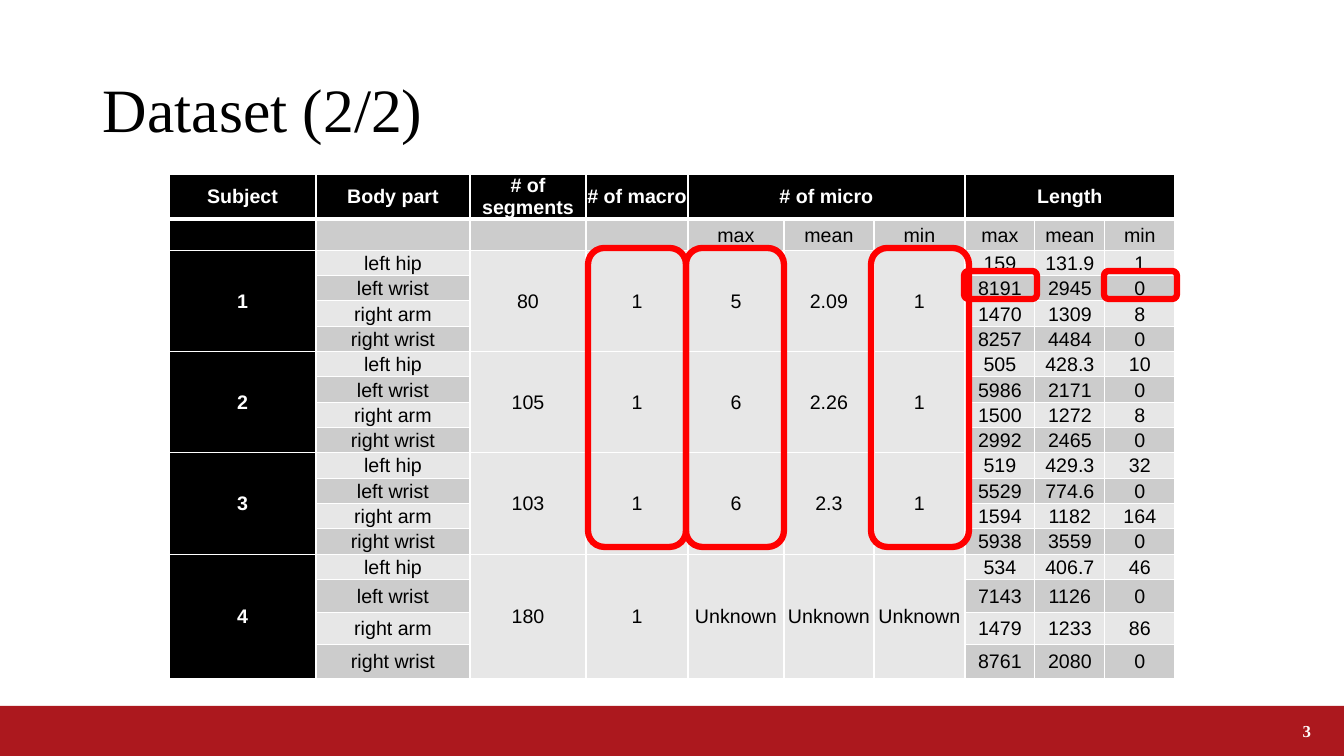
"""Build the dataset slide: a table of segments per subject with highlighted columns."""
import lxml.etree
import pptx
import pptx.dml.color
import pptx.enum.shapes
import pptx.enum.text
import pptx.oxml.ns
import pptx.util

PX = 914400 / 100.8
COLORS = {"black": "000000", "white": "FFFFFF", "dark": "CCCCCC", "light": "E7E7E7",
          "band": "AC181E", "mark": "FF0000"}
ALIGN = pptx.enum.text.PP_ALIGN
MIDDLE = pptx.enum.text.MSO_ANCHOR.MIDDLE
SHAPE = pptx.enum.shapes.MSO_SHAPE


def px(*values):
    return [pptx.util.Emu(round(v * PX)) for v in values]


def write(tf, text, align, color, **font):
    p = tf.paragraphs[0]
    p.alignment = align
    r = p.add_run()
    r.text = text
    for name, value in font.items():
        setattr(r.font, name, value)
    r.font.color.rgb = pptx.dml.color.RGBColor.from_string(COLORS[color])
    return p


prs = pptx.Presentation()
prs.slide_width, prs.slide_height = px(1344, 756)
s = prs.slides.add_slide(prs.slide_layouts[6])

band = s.shapes.add_shape(SHAPE.RECTANGLE, *px(0, 706, 1344, 50))
band.shadow.inherit = False
band.fill.solid()
band.fill.fore_color.rgb = pptx.dml.color.RGBColor.from_string(COLORS["band"])
band.line.fill.background()

BODY_PARTS = ["left hip", "left wrist", "right arm", "right wrist"]
SUBJECTS = [
    (["1", "80", "1", "5", "2.09", "1"],
     ["159 131.9 1", "8191 2945 0", "1470 1309 8", "8257 4484 0"]),
    (["2", "105", "1", "6", "2.26", "1"],
     ["505 428.3 10", "5986 2171 0", "1500 1272 8", "2992 2465 0"]),
    (["3", "103", "1", "6", "2.3", "1"],
     ["519 429.3 32", "5529 774.6 0", "1594 1182 164", "5938 3559 0"]),
    (["4", "180", "1", "Unknown", "Unknown", "Unknown"],
     ["534 406.7 46", "7143 1126 0", "1479 1233 86", "8761 2080 0"]),
]
rows = [["Subject", "Body part", "# of segments", "# of macro", "# of micro", "", "",
         "Length", "", ""],
        [""] * 4 + ["max", "mean", "min"] * 2]
for (subject, *counts), lengths in SUBJECTS:
    for i, (part, length) in enumerate(zip(BODY_PARTS, lengths)):
        first = [subject, part, *counts] if i == 0 else ["", part] + [""] * 5
        rows.append(first + length.split())

widths = [147, 154, 116, 102, 96, 90, 91, 70, 70, 70]
heights = [45, 29] + [25, 25, 26] * 4 + [25, 33, 32, 34]
table = s.shapes.add_table(len(rows), len(widths),
                           *px(169, 174, sum(widths), sum(heights))).table
for column, width in zip(table.columns, px(*widths)):
    column.width = width
for row, height in zip(table.rows, px(*heights)):
    row.height = height

for c in (4, 7):
    table.cell(0, c).merge(table.cell(0, c + 2))
for r in range(2, len(rows), 4):
    for c in (0, 2, 3, 4, 5, 6):
        table.cell(r, c).merge(table.cell(r + 3, c))

cell_format = {"vertical_anchor": MIDDLE}
for side, margin in zip(("left", "right", "top", "bottom"), px(1, 1, 1, 0)):
    cell_format["margin_" + side] = margin

for r, texts in enumerate(rows):
    for c, text in enumerate(texts):
        cell = table.cell(r, c)
        for name, value in cell_format.items():
            setattr(cell, name, value)
        tc_pr = cell._tc.get_or_add_tcPr()
        for side in "LRTB":
            thick = (r, side) in ((0, "B"), (1, "T"))
            ln = lxml.etree.SubElement(tc_pr, pptx.oxml.ns.qn("a:ln" + side),
                                       w=str(pptx.util.Pt(3 if thick else 1)))
            fill = lxml.etree.SubElement(ln, pptx.oxml.ns.qn("a:solidFill"))
            lxml.etree.SubElement(fill, pptx.oxml.ns.qn("a:srgbClr"), val=COLORS["white"])
        header = r == 0 or c == 0
        spanned = r > 1 and 2 <= c <= 6
        shade = "black" if header else "light" if spanned or (r > 1 and r % 2 == 0) else "dark"
        cell.fill.solid()
        cell.fill.fore_color.rgb = pptx.dml.color.RGBColor.from_string(COLORS[shade])
        if text:
            write(cell.text_frame, text, ALIGN.CENTER, "white" if header else "black",
                  name="Arial", size=pptx.util.Pt(14), bold=header)

for box, text, align, color, size, bold in [
        ((93, 40, 1159, 146), "Dataset (2/2)", ALIGN.LEFT, "black", 44, False),
        ((1219, 706, 102, 50), "3", ALIGN.RIGHT, "white", 12, True)]:
    tf = s.shapes.add_textbox(*px(*box)).text_frame
    tf.word_wrap = True
    tf.vertical_anchor = MIDDLE
    p = write(tf, text, align, color, name="Times New Roman", size=pptx.util.Pt(size), bold=bold)
    p.line_spacing = 0.9 if size == 44 else 1.0

column_marks = [(x, 248, 98, 299) for x in (588, 686, 871)]
value_marks = [(x, 271, 73, 28) for x in (1104, 964)]
for box in column_marks[:2] + value_marks + column_marks[2:]:
    sp = s.shapes.add_shape(SHAPE.ROUNDED_RECTANGLE, *px(*box))
    sp.shadow.inherit = False
    sp.fill.background()
    sp.line.color.rgb = pptx.dml.color.RGBColor.from_string(COLORS["mark"])
    sp.line.width = pptx.util.Pt(4.5)

prs.save("out.pptx")
